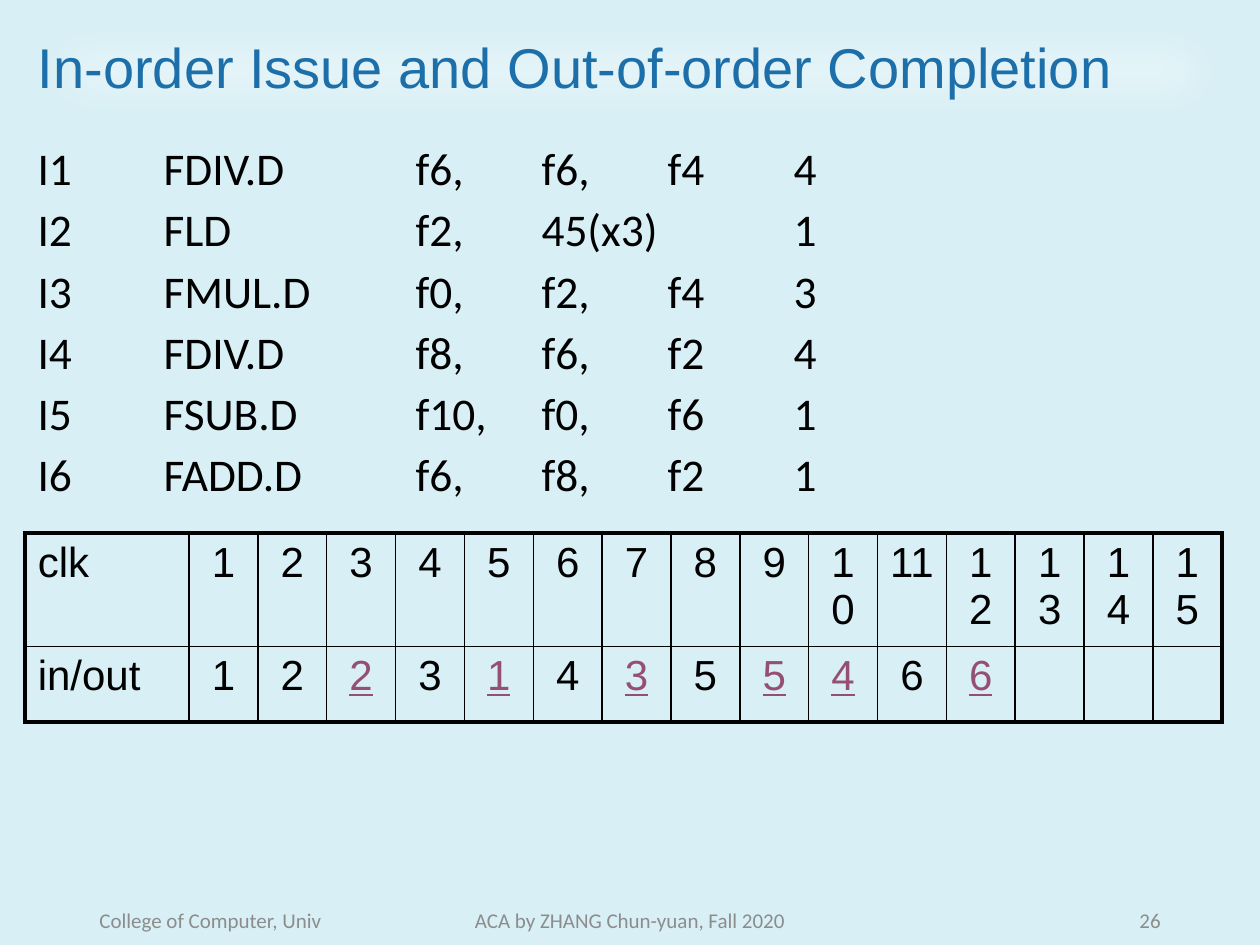
"""Build the slide on in-order issue and out-of-order completion."""
from lxml import etree
from pptx import Presentation, util as u
from pptx.dml.color import RGBColor
from pptx.enum import text as t
from pptx.oxml import ns

HUES = {"back": "D7EFF5", "glow": "FFFFFF", "title": "1D6FA9",
        "ink": "000000", "done": "954F72", "foot": "8C8C8C"}
ALIGN = t.PP_ALIGN


def style(para, size, face, hue, align=ALIGN.LEFT):
    para.font.size = u.Pt(size)
    para.font.name = face
    para.font.color.rgb = RGBColor.from_string(HUES[hue])
    para.alignment = align
    para._p.find(".//" + ns.qn("a:defRPr")).set("kern", "0")


def edge(cell, side, width, spot):
    line = etree.Element(ns.qn("a:ln" + side), w=str(u.Pt(width)))
    fill = etree.SubElement(line, ns.qn("a:solidFill"))
    etree.SubElement(fill, ns.qn("a:srgbClr"), val=HUES["ink"])
    cell._tc.get_or_add_tcPr().insert(spot, line)


deck = Presentation()
deck.slide_width, deck.slide_height = u.Inches(10), u.Inches(7.5)
slide = deck.slides.add_slide(deck.slide_layouts[5])
slide.background.fill.solid()
slide.background.fill.fore_color.rgb = RGBColor.from_string(HUES["back"])

title = slide.shapes.title
title.left, title.top = u.Inches(0.2), u.Inches(0.13)
title.width, title.height = u.Inches(9.61), u.Inches(0.86)
title.fill.solid()
title.fill.fore_color.rgb = RGBColor.from_string(HUES["glow"])
props = title._element.spPr
tint = props.find(".//" + ns.qn("a:srgbClr"))
etree.SubElement(tint, ns.qn("a:alpha"), val="75000")
blur = etree.SubElement(props, ns.qn("a:effectLst"))
etree.SubElement(blur, ns.qn("a:softEdge"), rad=str(u.Pt(25)))
frame = title.text_frame
frame.text = "In-order Issue and Out-of-order Completion"
frame.word_wrap = True
frame.auto_size = t.MSO_AUTO_SIZE.NONE
frame.vertical_anchor = t.MSO_ANCHOR.MIDDLE
style(frame.paragraphs[0], 32, "Arial", "title")
frame.paragraphs[0].line_spacing = 0.9

code = ["I1 \tFDIV.D\t\tf6,\tf6,\tf4\t4",
        "I2 \tFLD\t\tf2,\t45(x3)\t\t1",
        "I3 \tFMUL.D\tf0,\tf2,\tf4\t3",
        "I4 \tFDIV.D\t\tf8,\tf6,\tf2\t4",
        "I5\tFSUB.D\tf10,\tf0,\tf6\t1",
        "I6 \tFADD.D\tf6,\tf8,\tf2\t1"]
body = slide.shapes.add_textbox(u.Inches(0.2), u.Inches(1.15),
                                u.Inches(9.61), u.Inches(2.91))
body.text_frame.word_wrap = True
body.text_frame.text = "\n".join(code)
for para, line in zip(body.text_frame.paragraphs, code):
    style(para, 25.9, "Calibri", "ink")
    para.line_spacing = 0.8
    para.space_before = u.Pt(10)
    stops = etree.Element(ns.qn("a:tabLst"))
    places = range(1, 7) if "\t\t" in line else (1, 3, 4, 5, 6)
    for place in places:
        etree.SubElement(stops, ns.qn("a:tab"),
                         pos=str(u.Inches(place)), algn="l")
    para._p.find(".//" + ns.qn("a:defRPr")).addprevious(stops)

rows = [["clk", *map(str, range(1, 16))],
        ["in/out", *"122314355466", "", "", ""]]
done = {3, 5, 7, 9, 10, 12}
last = len(rows[0]) - 1
wide, first = 9.5, 1.3
table = slide.shapes.add_table(2, last + 1, u.Inches(0.2), u.Inches(4.23),
                               u.Inches(wide), u.Inches(1.5)).table
table.first_row = table.horz_banding = False
for index, col in enumerate(table.columns):
    col.width = u.Inches((wide - first) / last if index else first)
for row, high in zip(table.rows, (0.9, 0.6)):
    row.height = u.Inches(high)
for y, row in enumerate(rows):
    for x, word in enumerate(row):
        cell = table.cell(y, x)
        cell.fill.background()
        outer = {"L": x == 0, "R": x == last, "T": y == 0, "B": y == 1}
        for spot, (side, bold) in enumerate(outer.items()):
            edge(cell, side, 2.25 if bold else 1, spot)
        cell.text = word
        out = y == 1 and x in done
        para = cell.text_frame.paragraphs[0]
        style(para, 24, "Arial", "done" if out else "ink",
              ALIGN.CENTER if x else ALIGN.LEFT)
        if out:
            para.font.underline = True

feet = [(0.69, 2.25, "College of Computer, Univ", ALIGN.LEFT),
        (3.31, 3.38, "ACA by ZHANG Chun-yuan, Fall 2020", ALIGN.CENTER),
        (7.06, 2.25, "26", ALIGN.RIGHT)]
for left, width, words, align in feet:
    foot = slide.shapes.add_textbox(u.Inches(left), u.Inches(7.1),
                                    u.Inches(width), u.Inches(0.4))
    foot.text_frame.word_wrap = True
    foot.text_frame.vertical_anchor = t.MSO_ANCHOR.MIDDLE
    foot.text_frame.text = words
    style(foot.text_frame.paragraphs[0], 12, "Calibri", "foot", align)

deck.save("out.pptx")
